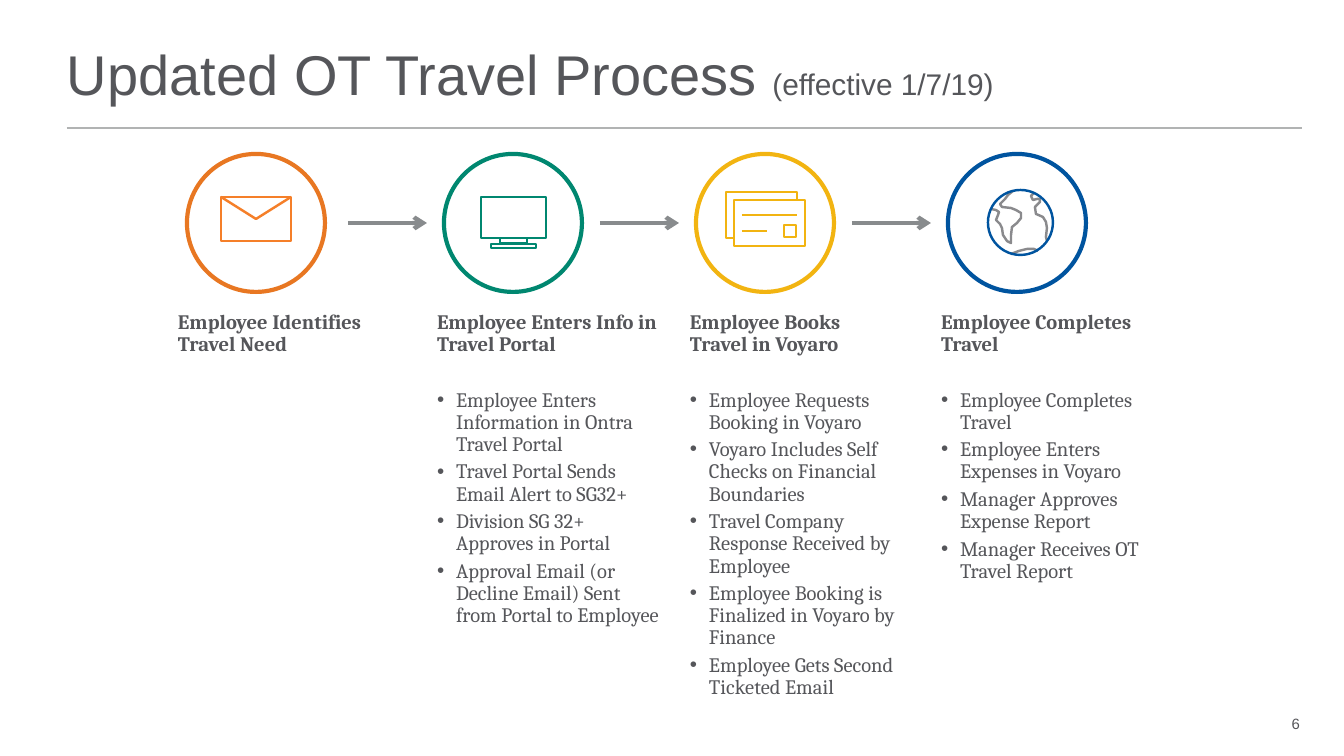
from pptx import Presentation
from pptx.dml.color import RGBColor
from pptx.enum.shapes import MSO_CONNECTOR, MSO_SHAPE
from pptx.enum.text import MSO_ANCHOR, PP_ALIGN
from pptx.oxml.ns import qn
from pptx.util import Pt
from lxml import etree

RECTANGLE, OVAL = MSO_SHAPE.RECTANGLE, MSO_SHAPE.OVAL
STRAIGHT = MSO_CONNECTOR.STRAIGHT
TOP, MIDDLE, BOTTOM = MSO_ANCHOR.TOP, MSO_ANCHOR.MIDDLE, MSO_ANCHOR.BOTTOM
LEFT, RIGHT = PP_ALIGN.LEFT, PP_ALIGN.RIGHT

SCALE = 914400 / 134.4
COLORS = {
    "white": "FFFFFF", "text": "55565A", "rule": "B1B3B3", "arrow": "888B8D",
    "orange": "E87722", "envelope": "F57F29", "green": "008770",
    "yellow": "F2B411", "blue": "00549F", "land": "8A8A8D",
}
CIRCLE = 138
ICON_LINE = 1.3


def px(length):
    return round(length * SCALE)


def rgb(name):
    return RGBColor.from_string(COLORS[name])


# Drawing helpers
def add_outline(page, kind, left, top, width, height, color, weight=ICON_LINE, fill=None):
    shape = page.shapes.add_shape(kind, px(left), px(top), px(width), px(height))
    style_outline(shape, color, weight, fill)


def style_outline(shape, color, weight, fill=None):
    shape.shadow.inherit = False
    if fill:
        shape.fill.solid()
        shape.fill.fore_color.rgb = rgb(fill)
    else:
        shape.fill.background()
    shape.line.color.rgb = rgb(color)
    shape.line.width = Pt(weight)


def add_path(page, left, top, points, color):
    moved = [(left + x, top + y) for x, y in points]
    builder = page.shapes.build_freeform(*moved[0], scale=SCALE)
    builder.add_line_segments(moved[1:], close=False)
    style_outline(builder.convert_to_shape(), color, ICON_LINE)


def add_line(page, left, top, length, color, weight, arrow=False):
    line = page.shapes.add_connector(STRAIGHT, px(left), px(top), px(left + length), px(top))
    line.line.color.rgb = rgb(color)
    line.line.width = Pt(weight)
    if arrow:
        etree.SubElement(line.line._get_or_add_ln(), qn("a:tailEnd"), type="arrow")
    etree.SubElement(line._element.spPr, qn("a:effectLst"))


def set_frame(frame, anchor, margins=(0, 0, 0, 0), wrap=True):
    frame.word_wrap = wrap
    frame.vertical_anchor = anchor
    frame.margin_left, frame.margin_top, frame.margin_right, frame.margin_bottom = map(px, margins)


def style_span(span, font, size, bold=False):
    span.font.name, span.font.size, span.font.bold = font, Pt(size), bold
    span.font.color.rgb = rgb("text")


# Icons, placed relative to their circle
def draw_envelope(page, left, top):
    add_outline(page, RECTANGLE, left + 34, top + 43, 70, 44, "envelope")
    add_path(page, left, top, [(34, 43), (69, 65), (104, 43)], "envelope")


def draw_monitor(page, left, top):
    for x, y, width, height in [(37, 43, 65, 41), (56, 84, 27, 5), (47, 90, 45, 4)]:
        add_outline(page, RECTANGLE, left + x, top + y, width, height, "green")


def draw_cards(page, left, top):
    for x, y, width, height in [(30, 38, 71, 46), (38, 46, 71, 46), (88, 71, 12, 12)]:
        add_outline(page, RECTANGLE, left + x, top + y, width, height, "yellow", fill="white")
    for y, length in [(61, 55), (77, 25)]:
        add_line(page, left + 46, top + y, length, "yellow", ICON_LINE)


LAND = [
    [(65, 37), (60, 41), (57, 45), (52, 50), (54, 53), (63, 54), (68, 56), (73, 59),
     (73, 64), (69, 69), (64, 73), (63, 81), (63, 89), (59, 87), (55, 81), (54, 74),
     (52, 70), (48, 66), (50, 61), (51, 58), (48, 56), (43, 55)],
    [(86, 39), (83, 42), (85, 46), (89, 45), (92, 45), (92, 48), (87, 53), (88, 60),
     (95, 63), (98, 68), (99, 74), (98, 83), (99, 87)],
    [(63, 100), (71, 97), (79, 95), (86, 95), (90, 97)],
]


def draw_globe(page, left, top):
    for coast in LAND:
        add_path(page, left, top, coast, "land")
    add_outline(page, OVAL, left + 40, top + 36, 65, 65, "blue")


# Title, rule and page number
def add_header(page, left, top, width):
    title = page.shapes.title
    title.left, title.top, title.width, title.height = map(px, (left, top, width, 98))
    frame = title.text_frame
    set_frame(frame, BOTTOM)
    paragraph = frame.paragraphs[0]
    paragraph.alignment = LEFT
    for text, size in [("Updated OT Travel Process ", 30), ("(effective 1/7/19)", 16)]:
        span = paragraph.add_run()
        span.text = text
        style_span(span, "Arial", size)
    add_line(page, left, top + 119, width + 1, "rule", 1)


def add_page_number(page, left, top, number):
    box = page.shapes.add_textbox(px(left), px(top), px(57), px(27))
    set_frame(box.text_frame, MIDDLE, wrap=False)
    paragraph = box.text_frame.paragraphs[0]
    paragraph.text = number
    paragraph.alignment = RIGHT
    style_span(paragraph.runs[0], "Arial", 8)


# One step: circle, icon, heading and list
def add_step(page, left, top, text_left, width, height, color, draw_icon, heading, items):
    add_outline(page, OVAL, left, top, CIRCLE, CIRCLE, color, 2.25, "white")
    draw_icon(page, left, top)
    box = page.shapes.add_textbox(px(text_left), px(top + 148), px(width), px(height))
    frame = box.text_frame
    set_frame(frame, TOP, (10, 10, 20, 10))
    frame.text = "\n".join([heading, *items])
    for index, paragraph in enumerate(frame.paragraphs):
        paragraph.line_spacing = 0.9
        paragraph.space_after = Pt(2.9 if index else 17.7)
        style_span(paragraph.runs[0], "Cambria", 11, bold=index == 0)
        if index:
            properties = paragraph._p.get_or_add_pPr()
            properties.set("marL", str(px(19)))
            properties.set("indent", str(px(-19)))
            etree.SubElement(properties, qn("a:buFont"), typeface="Arial")
            etree.SubElement(properties, qn("a:buChar"), char="•")


STEPS = [
    (187, 168, 237, 367, "orange", draw_envelope, "Employee Identifies Travel Need", []),
    (444, 427, 253, 367, "green", draw_monitor, "Employee Enters Info in Travel Portal", [
        "Employee Enters Information in Ontra Travel Portal",
        "Travel Portal Sends Email Alert to SG32+",
        "Division SG 32+ Approves in Portal",
        "Approval Email (or Decline Email) Sent from Portal to Employee"]),
    (696, 680, 237, 434, "yellow", draw_cards, "Employee Books Travel in Voyaro", [
        "Employee Requests Booking in Voyaro",
        "Voyaro Includes Self Checks on Financial Boundaries",
        "Travel Company Response Received by Employee",
        "Employee Booking is Finalized in Voyaro by Finance",
        "Employee Gets Second Ticketed Email"]),
    (948, 931, 237, 367, "blue", draw_globe, "Employee Completes Travel", [
        "Employee Completes Travel",
        "Employee Enters Expenses in Voyaro",
        "Manager Approves Expense Report",
        "Manager Receives OT Travel Report"]),
]


def add_process(page, top):
    for index in range(len(STEPS) - 1):
        add_line(page, 348 + 252 * index, top + CIRCLE / 2, 79, "arrow", 2.25, arrow=True)
    for left, *details in STEPS:
        add_step(page, left, top, *details)


deck = Presentation()
deck.slide_width, deck.slide_height = px(1344), px(756)
page = deck.slides.add_slide(deck.slide_layouts[5])
add_header(page, 67, 9, 1234)
add_process(page, 154)
add_page_number(page, 1243, 710, "6")
deck.save("out.pptx")
